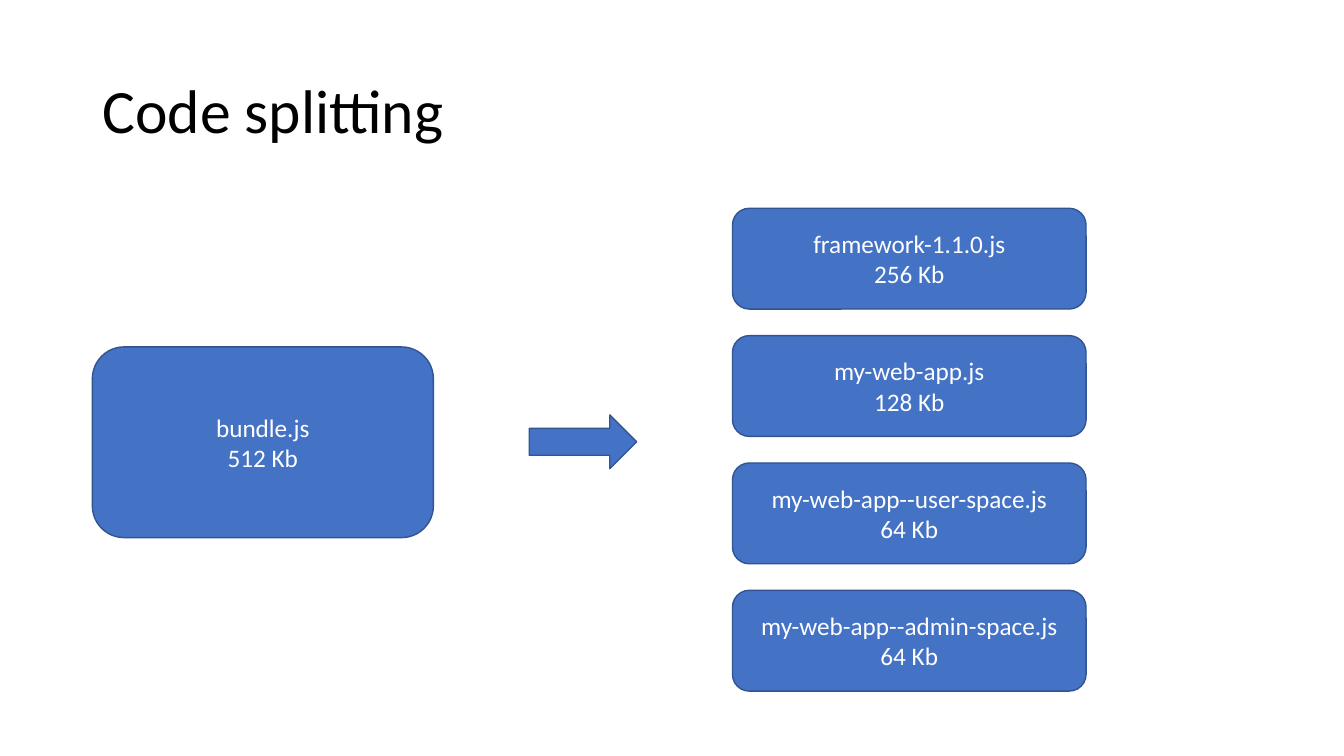
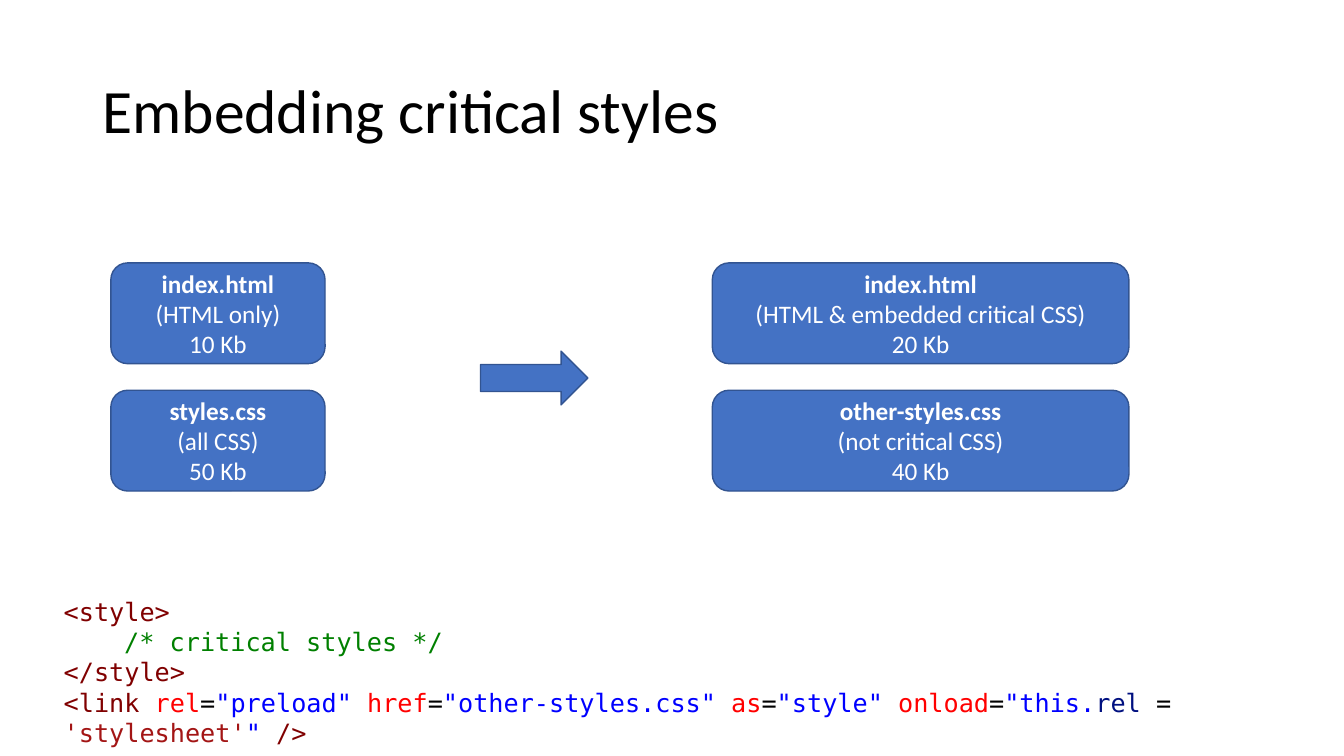
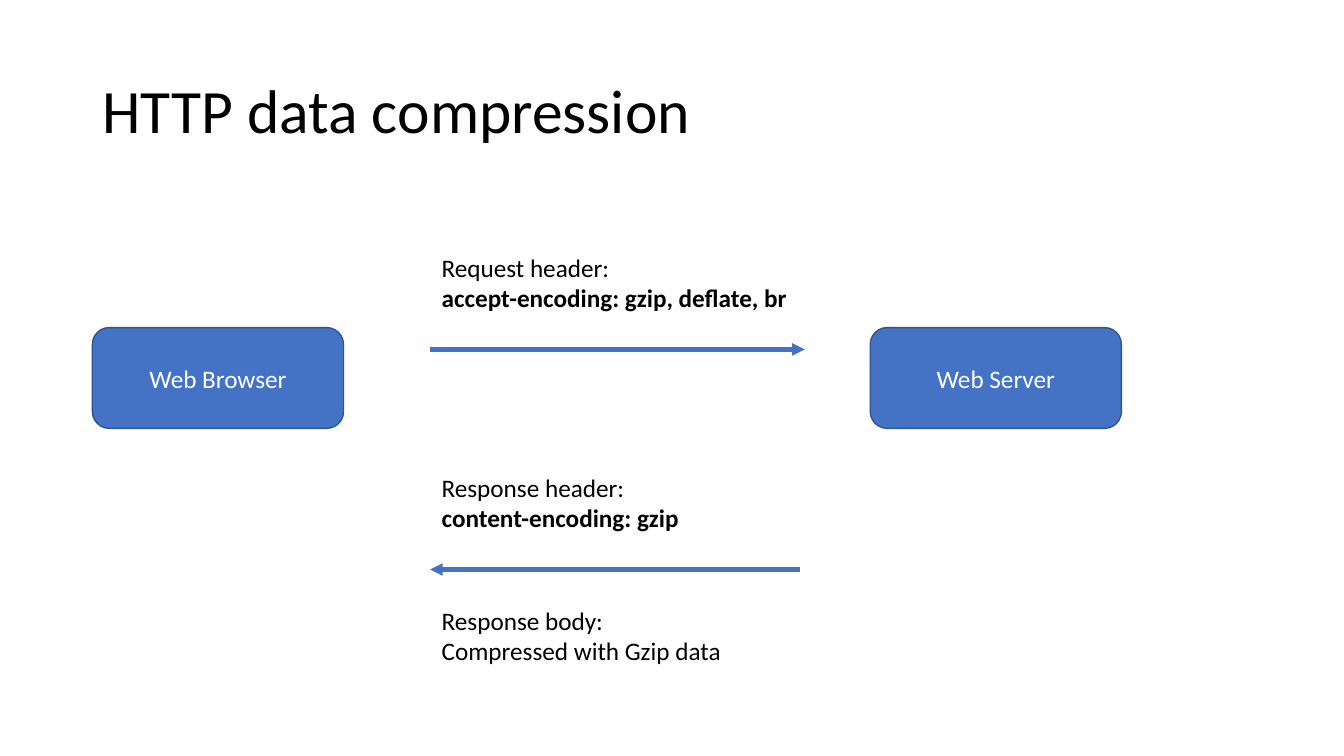
from pptx import Presentation
from pptx.dml.color import RGBColor
from pptx.enum.shapes import MSO_CONNECTOR, MSO_SHAPE
from pptx.enum.text import MSO_ANCHOR, MSO_AUTO_SIZE, PP_ALIGN
from pptx.oxml.ns import qn
from pptx.util import Inches, Pt
from lxml.etree import SubElement

# Grid: 160 columns by 90 rows of square cells
CELL = Inches(1) // 12
COLUMNS, ROWS = 160, 90

# Rows of a file box, and from one box to the next
BOX_HEIGHT, BOX_STEP = 12, 15.16


def grid(*cells):
    return [round(cell * CELL) for cell in cells]


def rgb(hex_string):
    return RGBColor.from_string(hex_string)


def write(frame, paragraphs, font="Calibri", size=18, color="000000",
          align=PP_ALIGN.LEFT, anchor=MSO_ANCHOR.TOP, bold_line=None,
          spacing=None, indents=None):
    """Each paragraph is a string, or a list of (text, color) runs."""
    frame.vertical_anchor = anchor
    for number, content in enumerate(paragraphs):
        paragraph = frame.paragraphs[0] if number == 0 else frame.add_paragraph()
        paragraph.alignment = align
        if spacing:
            paragraph.line_spacing = spacing
        if indents and number in indents:
            paragraph._p.get_or_add_pPr().set("marL", str(indents[number]))
        runs = [(content, color)] if isinstance(content, str) else content
        for text, run_color in runs:
            run = paragraph.add_run()
            run.text = text
            run.font.name = font
            run.font.size = Pt(size)
            run.font.bold = number == bold_line
            run.font.color.rgb = rgb(run_color)


class Deck:
    BLUE, OUTLINE, WHITE = "4472C4", "325491", "FFFFFF"

    def __init__(self):
        self.presentation = Presentation()
        self.presentation.slide_width = COLUMNS * CELL
        self.presentation.slide_height = ROWS * CELL
        self.slide = None

    def new_slide(self, heading):
        self.slide = self.presentation.slides.add_slide(
            self.presentation.slide_layouts[5])
        title = self.slide.shapes.title
        title.left, title.top, title.width, title.height = grid(11, 4.8, 138, 17.4)
        title.text_frame.auto_size = MSO_AUTO_SIZE.NONE
        write(title.text_frame, [heading], size=44, anchor=MSO_ANCHOR.MIDDLE,
              spacing=0.9)

    def block(self, preset, *place):
        block = self.slide.shapes.add_shape(preset, *grid(*place))
        block.shadow.inherit = False
        block.fill.solid()
        block.fill.fore_color.rgb = rgb(self.BLUE)
        block.line.color.rgb = rgb(self.OUTLINE)
        block.line.width = Pt(1)
        return block

    def box(self, left, top, width, lines, height=BOX_HEIGHT, bold_line=None):
        box = self.block(MSO_SHAPE.ROUNDED_RECTANGLE, left, top, width, height)
        write(box.text_frame, lines, color=self.WHITE, align=PP_ALIGN.CENTER,
              anchor=MSO_ANCHOR.MIDDLE, bold_line=bold_line)

    def stack(self, left, top, width, boxes, bold_line=None):
        for number, lines in enumerate(boxes):
            self.box(left, top + number * BOX_STEP, width, lines,
                     bold_line=bold_line)

    def block_arrow(self, left, top):
        self.block(MSO_SHAPE.RIGHT_ARROW, left, top, 12.8, 6.4)

    def label(self, left, top, width, height, paragraphs, wrap=False, **style):
        label = self.slide.shapes.add_textbox(*grid(left, top, width, height))
        label.text_frame.word_wrap = wrap
        label.text_frame.auto_size = MSO_AUTO_SIZE.SHAPE_TO_FIT_TEXT
        write(label.text_frame, paragraphs, **style)

    def arrow(self, start, end, row):
        arrow = self.slide.shapes.add_connector(
            MSO_CONNECTOR.STRAIGHT, *grid(start, row, end, row))
        arrow.line.color.rgb = rgb(self.BLUE)
        arrow.line.width = Pt(3)
        SubElement(arrow.line._get_or_add_ln(), qn("a:tailEnd"), type="triangle")
        SubElement(arrow._element.spPr, qn("a:effectLst"))


def code_splitting(deck):
    deck.new_slide("Code splitting")
    deck.box(11, 41.3, 40.6, ["bundle.js", "512 Kb"], height=22.7)
    deck.stack(87.2, 24.8, 42.1, [
        ["framework-1.1.0.js", "256 Kb"],
        ["my-web-app.js", "128 Kb"],
        ["my-web-app--user-space.js", "64 Kb"],
        ["my-web-app--admin-space.js", "64 Kb"],
    ])
    deck.block_arrow(63, 49.4)


def critical_styles(deck):
    deck.new_slide("Embedding critical styles")

    # Files before and after
    deck.stack(13.2, 31.3, 25.5, [
        ["index.html", "(HTML only)", "10 Kb"],
        ["styles.css", "(all CSS)", "50 Kb"],
    ], bold_line=0)
    deck.stack(84.8, 31.3, 49.6, [
        ["index.html", "(HTML & embedded critical CSS)", "20 Kb"],
        ["other-styles.css", "(not critical CSS)", "40 Kb"],
    ], bold_line=0)
    deck.block_arrow(57.2, 41.8)

    # Highlighted markup
    tag, comment, attribute, sign = "800000", "008000", "FF0000", "000000"
    value, member, literal = "0000FF", "001080", "A31515"
    link = [("<link ", tag)]
    for name, setting in [("rel", '"preload" '), ("href", '"other-styles.css" '),
                          ("as", '"style" '), ("onload", '"this.')]:
        link += [(name, attribute), ("=", sign), (setting, value)]
    link += [("rel ", member), ("= ", sign), ("'stylesheet'", literal),
             ('" ', value), ("/>", tag)]
    deck.label(6.4, 70.4, 155.6, 15.7, [
        [("<style>", tag)],
        [("/* critical styles */", comment)],
        [("</style>", tag)],
        link,
    ], wrap=True, font="DejaVu Sans Mono", indents={1: Inches(0.6)})


def data_compression(deck):
    deck.new_slide("HTTP data compression")
    deck.box(11, 39, 29.9, ["Web Browser"])
    deck.box(103.6, 39, 29.9, ["Web Server"])

    # Request
    deck.label(51.4, 29.4, 43.9, 8.5,
               ["Request header:", "accept-encoding: gzip, deflate, br"],
               bold_line=1)
    deck.arrow(51.2, 95.8, 41.6)

    # Response
    deck.label(51.4, 55.6, 31, 8.5,
               ["Response header:", "content-encoding: gzip"], bold_line=1)
    deck.arrow(95.3, 51.2, 67.8)
    deck.label(51.4, 71.5, 36.1, 8.5,
               ["Response body:", "Compressed with Gzip data"])


def main():
    deck = Deck()
    for build in (code_splitting, critical_styles, data_compression):
        build(deck)
    deck.presentation.save("out.pptx")


if __name__ == "__main__":
    main()
